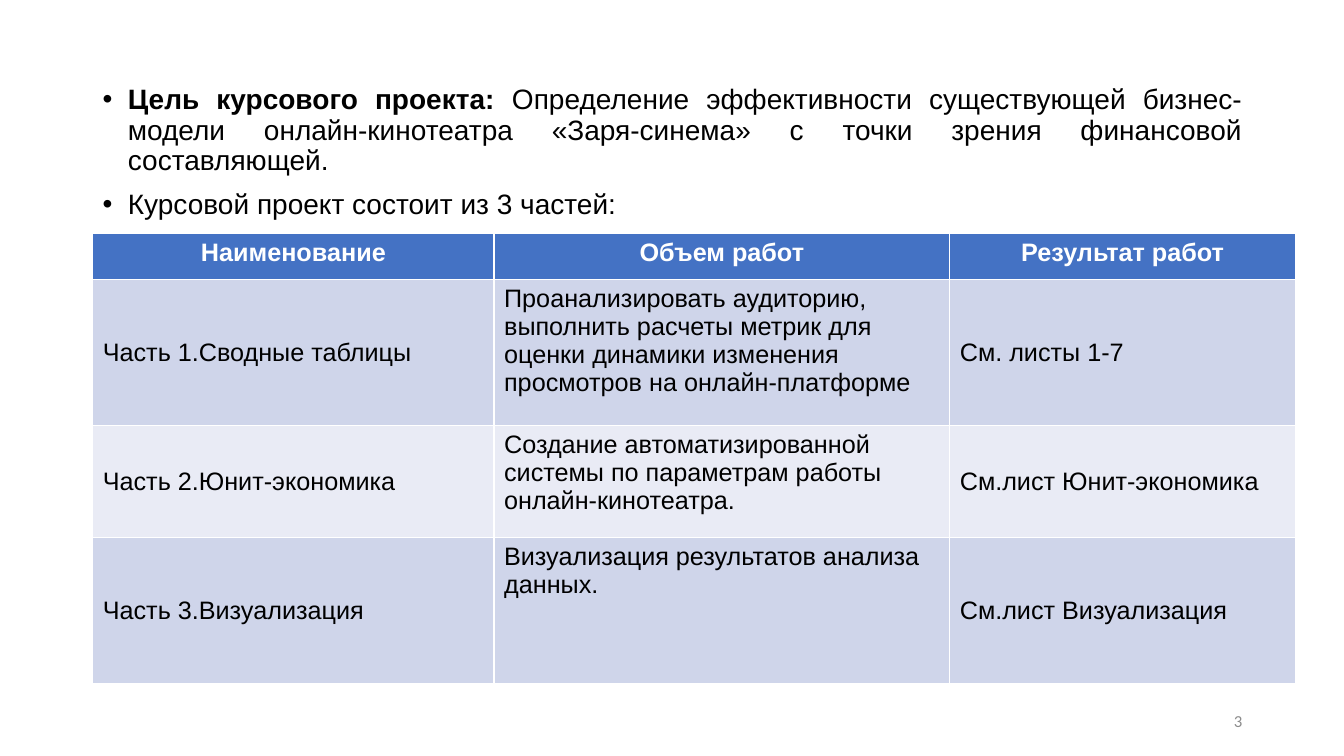
from pptx import Presentation
from pptx.dml.color import RGBColor
from pptx.enum import text
from pptx.oxml import parse_xml
from pptx.oxml import ns
from pptx.util import Inches, Pt

COLORS = {"black": "000000", "white": "FFFFFF", "header": "4472C4",
          "dark": "CFD5EA", "light": "E9EBF5", "number": "8C8C8C"}
COLUMNS = [3.98, 4.52, 3.43]
ROWS = [
    (0.45, ["Наименование", "Объем работ", "Результат работ"]),
    (1.45, ["Часть 1.Сводные таблицы",
            "Проанализировать аудиторию, выполнить расчеты метрик для оценки "
            "динамики изменения просмотров на онлайн-платформе",
            "См. листы 1-7"]),
    (1.11, ["Часть 2.Юнит-экономика",
            "Создание автоматизированной системы по параметрам работы онлайн-кинотеатра.",
            "См.лист Юнит-экономика"]),
    (1.45, ["Часть 3.Визуализация",
            "Визуализация результатов анализа данных.",
            "См.лист Визуализация"]),
]
BULLETS = [
    (text.PP_ALIGN.JUSTIFY, [
        ("Цель курсового проекта: ", True),
        ("Определение эффективности существующей бизнес-модели онлайн-кинотеатра "
         "«Заря-синема» с точки зрения финансовой составляющей.", False)]),
    (text.PP_ALIGN.LEFT, [("Курсовой проект состоит из 3 частей:", False)]),
]


def color(name):
    """Return the named colour."""
    return RGBColor.from_string(COLORS[name])


def add_run(p, words, size, ink="black", bold=False, font="Arial"):
    """Append one formatted run to a paragraph."""
    r = p.add_run()
    r.text = words
    r.font.size = Pt(size)
    r.font.name = font
    r.font.bold = bold
    r.font.color.rgb = color(ink)


def add_box(s, left, top, width, height):
    """Add a wrapping text box and return its text frame."""
    tf = s.shapes.add_textbox(*map(Inches, (left, top, width, height))).text_frame
    tf.word_wrap = True
    return tf


def set_bullet(p):
    """Give a paragraph a hanging round bullet."""
    pPr = p._p.get_or_add_pPr()
    pPr.set("marL", str(Inches(0.25)))
    pPr.set("indent", str(-Inches(0.25)))
    for tag in ('buFont {} typeface="Arial"', 'buChar {} char="•"'):
        pPr.append(parse_xml("<a:" + tag.format(ns.nsdecls("a")) + "/>"))


def add_bullets(s):
    """Add the project goal and the lead-in to the table."""
    tf = add_box(s, 0.92, 0.8, 11.5, 1.5)
    for i, (align, runs) in enumerate(BULLETS):
        p = tf.add_paragraph() if i else tf.paragraphs[0]
        p.alignment = align
        p.line_spacing = 0.9
        p.space_before = Pt(10)
        set_bullet(p)
        for words, bold in runs:
            add_run(p, words, 20, bold=bold)


def fill_cell(cell, words, row, col):
    """Write and colour one table cell."""
    header = row == 0
    cell.fill.solid()
    cell.fill.fore_color.rgb = color("header" if header else "dark" if row % 2 else "light")
    middle = not header and col != 1
    cell.vertical_anchor = text.MSO_ANCHOR.MIDDLE if middle else text.MSO_ANCHOR.TOP
    p = cell.text_frame.paragraphs[0]
    p.alignment = text.PP_ALIGN.CENTER if header else text.PP_ALIGN.LEFT
    add_run(p, words, 18, "white" if header else "black", header)


def add_parts_table(s):
    """Add the table of project parts."""
    height = sum(h for h, _ in ROWS)
    table = s.shapes.add_table(len(ROWS), len(COLUMNS), Inches(0.92), Inches(2.32),
                               Inches(sum(COLUMNS)), Inches(height)).table
    for column, width in zip(table.columns, COLUMNS):
        column.width = Inches(width)
    for i, (height, words) in enumerate(ROWS):
        table.rows[i].height = Inches(height)
        for j, item in enumerate(words):
            fill_cell(table.cell(i, j), item, i, j)


def add_slide_number(s):
    """Add the slide number at the lower right."""
    tf = add_box(s, 9.42, 6.95, 3, 0.4)
    tf.vertical_anchor = text.MSO_ANCHOR.MIDDLE
    p = tf.paragraphs[0]
    p.alignment = text.PP_ALIGN.RIGHT
    add_run(p, "3", 12, "number", font="Calibri")


def main():
    """Build and save the slide."""
    prs = Presentation()
    prs.slide_width, prs.slide_height = Inches(13.33), Inches(7.5)
    s = prs.slides.add_slide(prs.slide_layouts[6])
    add_bullets(s)
    add_parts_table(s)
    add_slide_number(s)
    prs.save("out.pptx")


if __name__ == "__main__":
    main()
